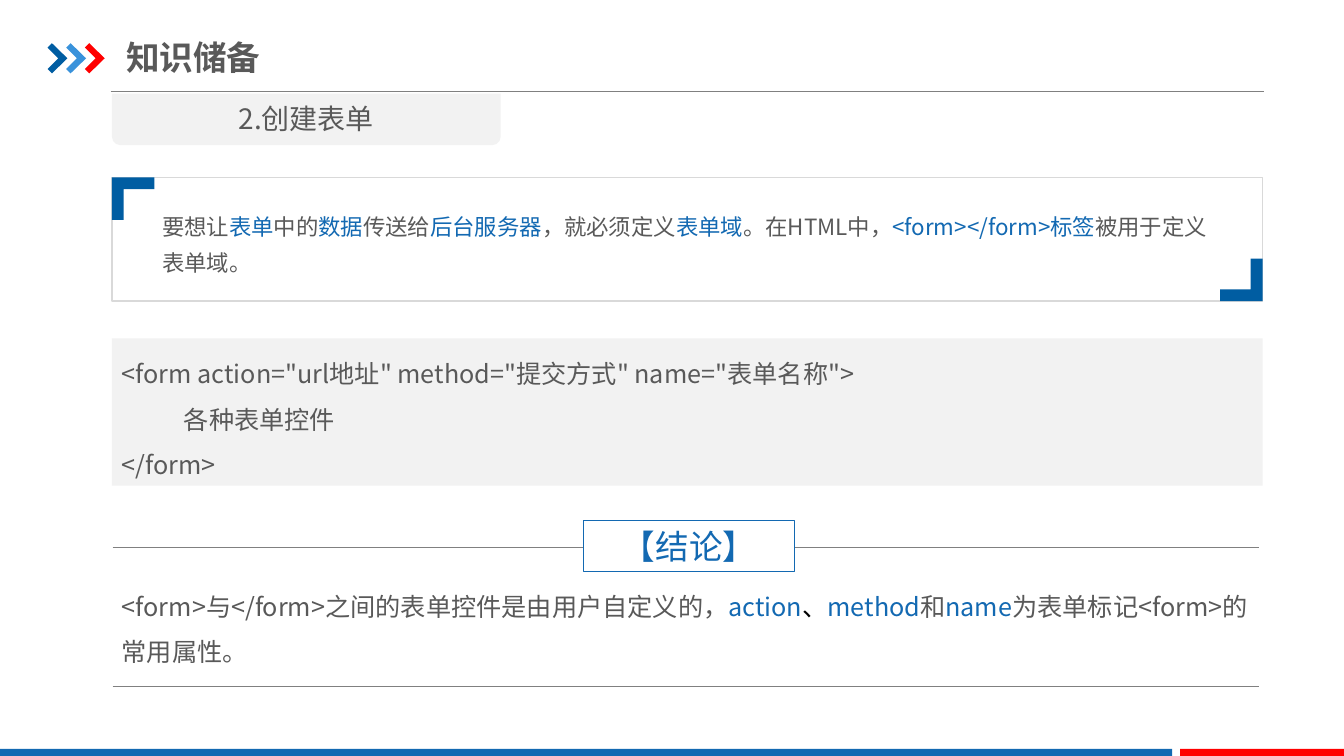
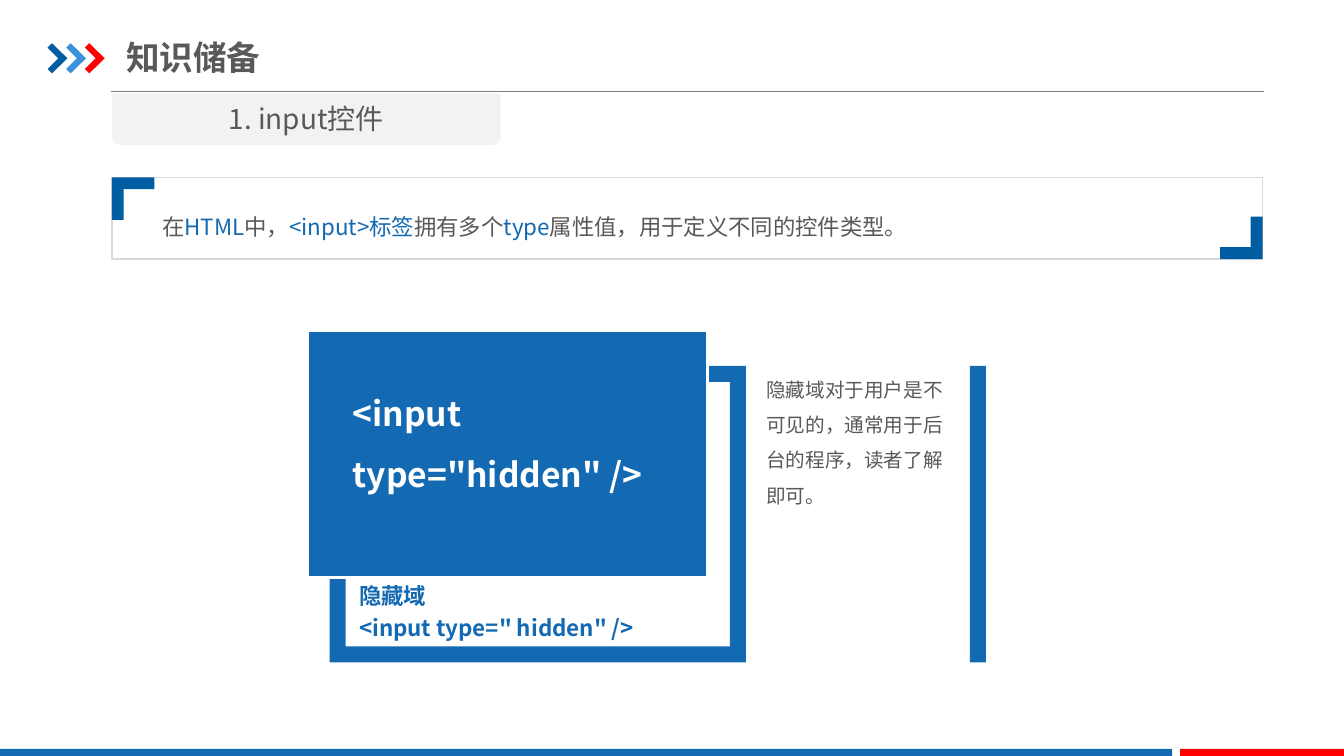
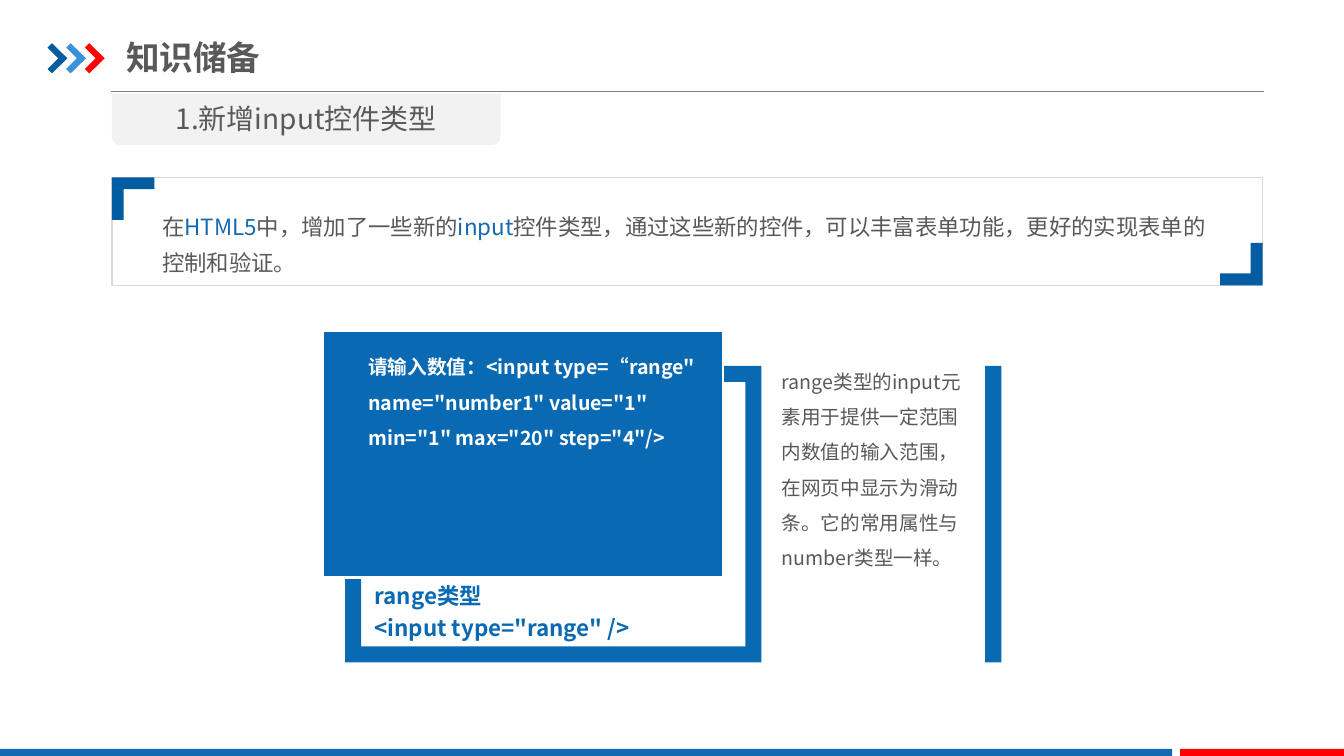
from pptx import Presentation
from pptx.dml.color import RGBColor
from pptx.enum.shapes import MSO_CONNECTOR, MSO_SHAPE
from pptx.enum.text import MSO_ANCHOR, MSO_AUTO_SIZE, PP_ALIGN
from pptx.oxml.ns import qn
from pptx.shapes.shapetree import SlideShapes
from pptx.util import Cm, Pt
from lxml import etree

RECTANGLE = MSO_SHAPE.RECTANGLE
FRAME = MSO_SHAPE.FRAME
TAB = MSO_SHAPE.ROUND_2_SAME_RECTANGLE
STRAIGHT = MSO_CONNECTOR.STRAIGHT
TOP, MIDDLE = MSO_ANCHOR.TOP, MSO_ANCHOR.MIDDLE
LEFT, CENTER = PP_ALIGN.LEFT, PP_ALIGN.CENTER
NO_AUTOFIT = MSO_AUTO_SIZE.NONE

FONT = "Noto Sans CJK SC"
BLUE, CARD_BLUE, DARK_BLUE, LIGHT_BLUE = "1369B2", "0969B2", "005DA2", "3992DB"
RED, BLACK, WHITE = "FF0000", "000000", "FFFFFF"
TEXT_GRAY, LINE_GRAY, BORDER_GRAY, PALE_GRAY = "595959", "808080", "D9D9D9", "F2F2F2"

SLIDE_WIDTH, SLIDE_HEIGHT = 33.87, 19.05
CONTENT_LEFT, CONTENT_WIDTH = 2.82, 29
DEFAULT_INSETS = (0.25, 0.13, 0.25, 0.13)


def paint(color_format, color):
    """Give a fill, line or font colour a hex value."""
    color_format.rgb = RGBColor.from_string(color)


def accent(text, color=BLUE):
    """Return a text part that stands out in colour."""
    return text, color


def write(shape, paragraphs, size, color=TEXT_GRAY, bold=False, align=LEFT, anchor=TOP,
          spacing=1.0, after=0, insets=DEFAULT_INSETS):
    """Fill a shape with paragraphs, each a list of plain or accented parts."""
    frame = shape.text_frame
    frame.word_wrap = True
    frame.auto_size = NO_AUTOFIT
    frame.vertical_anchor = anchor
    (frame.margin_left, frame.margin_top,
     frame.margin_right, frame.margin_bottom) = map(Cm, insets)
    for index, parts in enumerate(paragraphs):
        paragraph = frame.add_paragraph() if index else frame.paragraphs[0]
        paragraph.alignment = align
        paragraph.line_spacing = spacing
        paragraph.space_before = Pt(0)
        paragraph.space_after = Pt(after)
        font = paragraph.font
        font.name, font.size, font.bold = FONT, Pt(size), bold
        paint(font.fill_color if hasattr(font, "fill_color") else font.color, color)
        defaults = paragraph._p.get_or_add_pPr().find(qn("a:defRPr"))
        etree.SubElement(defaults, qn("a:ea")).set("typeface", FONT)
        for part in parts:
            text, part_color = (part, None) if isinstance(part, str) else part
            run = paragraph.add_run()
            run.text = text
            if part_color:
                paint(run.font.color, part_color)


def style(shape, fill=None, line=None, line_width=1):
    """Set the fill and outline of a shape and drop its shadow."""
    shape.shadow.inherit = False
    if fill:
        shape.fill.solid()
        paint(shape.fill.fore_color, fill)
    else:
        shape.fill.background()
    if line:
        paint(shape.line.color, line)
        shape.line.width = Pt(line_width)
    else:
        shape.line.fill.background()


def add_block(shapes, box, fill=None, line=None, line_width=1, kind=RECTANGLE):
    """Add a preset shape at left, top, width, height."""
    block = shapes.add_shape(kind, *map(Cm, box))
    style(block, fill, line, line_width)
    return block


def add_text(shapes, box, paragraphs, size, **options):
    """Add a text box at left, top, width, height."""
    write(shapes.add_textbox(*map(Cm, box)), paragraphs, size, **options)


def add_rule(shapes, left, right, y):
    """Add a thin horizontal line."""
    rule = shapes.add_connector(STRAIGHT, Cm(left), Cm(y), Cm(right), Cm(y))
    paint(rule.line.color, LINE_GRAY)
    rule.line.width = Pt(0.75)
    etree.SubElement(rule._element.spPr, qn("a:effectLst"))


def add_outline(shapes, x, y, offsets, fill, direction=1):
    """Add a closed outline from offsets to a corner point."""
    points = [(Cm(x + direction * dx), Cm(y + direction * dy)) for dx, dy in offsets]
    builder = shapes.build_freeform(*points[0])
    builder.add_line_segments(points[1:], close=True)
    style(builder.convert_to_shape(), fill)


def prepare_layout(presentation):
    """Put the chevrons, header rule and footer bands on the title-only layout."""
    layout = presentation.slide_layouts[5]
    for placeholder in list(layout.placeholders):
        if placeholder.placeholder_format.idx:
            layout.shapes.element.remove(placeholder.element)
    shapes = SlideShapes(layout.shapes.element, layout)
    add_rule(shapes, 2.79, 31.85, 2.31)
    chevron = [(0, 0.11), (0.11, 0), (0.5, 0.38), (0.11, 0.76), (0, 0.65), (0.27, 0.38)]
    for index, color in enumerate((DARK_BLUE, LIGHT_BLUE, RED)):
        add_outline(shapes, 1.2 + index * 0.47, 1.09, chevron, color)
    band_top, red_left = 18.87, 29.74
    band_height = SLIDE_HEIGHT - band_top
    add_block(shapes, (0, band_top, red_left - 0.2, band_height), BLUE)
    add_block(shapes, (red_left, band_top, SLIDE_WIDTH - red_left, band_height), RED)
    return layout


def add_topic_slide(presentation, layout, topic):
    """Add a slide with the section title and a topic tab, and return its shapes."""
    shapes = presentation.slides.add_slide(layout).shapes
    title = shapes.title
    title.left, title.top, title.width, title.height = map(Cm, (3.18, 0.74, 10.82, 1.4))
    write(title, [["知识储备"]], 24, bold=True, anchor=MIDDLE, insets=(0, 0.18, 0, 0.18))
    tab = add_block(shapes, (CONTENT_LEFT, 2.36, 9.8, 1.3), PALE_GRAY, kind=TAB)
    tab.adjustments[0], tab.adjustments[1] = 0, 0.17
    write(tab, [[topic]], 20, align=CENTER, anchor=MIDDLE)
    return shapes


def add_intro(shapes, height, parts):
    """Add the bordered introduction with its two corner brackets."""
    top = 4.47
    border = add_block(shapes, (CONTENT_LEFT, top, CONTENT_WIDTH, height), line=BORDER_GRAY)
    write(border, [parts], 16, spacing=1.35, insets=(1.27, 0.66, 1.39, 0))
    arm, thick = 1.07, 0.3
    bracket = [(0, 0), (arm, 0), (arm, thick), (thick, thick), (thick, arm), (0, arm)]
    add_outline(shapes, CONTENT_LEFT, top, bracket, DARK_BLUE)
    add_outline(shapes, CONTENT_LEFT + CONTENT_WIDTH, top + height, bracket, DARK_BLUE, -1)


def add_conclusion(shapes, parts):
    """Add the labelled conclusion between two rules."""
    left, right = 2.84, 31.98 - 0.25
    add_rule(shapes, left, right, 13.79)
    label = add_block(shapes, (14.71, 13.11, 5.31, 1.29), WHITE, BLUE, 0.75)
    write(label, [["【结论】"]], 24, color=BLUE, align=CENTER, anchor=MIDDLE)
    add_rule(shapes, left, right, 17.3)
    add_text(shapes, (CONTENT_LEFT, 14.38, 28.91, 2.44), [parts], 18, spacing=1.5)


def add_control_card(shapes, left, color, code, code_size, code_inset, caption, note, note_top):
    """Add a code panel over a frame, with a caption below and a note beside it."""
    top, height = 9.22, 7.47
    add_block(shapes, (left + 16.13, top, 0.41, height), color)
    frame = add_block(shapes, (left, top, 10.49, height), color, kind=FRAME)
    frame.adjustments[0] = 0.054
    panel = add_block(shapes, (left - 0.56, 8.33, 10.08, 6.22), color, WHITE, 2)
    write(panel, [[code]], code_size, color=WHITE, bold=True, spacing=1.5,
          insets=(1.14, code_inset, 0.25, 0.13))
    add_text(shapes, (left + 0.33, 14.45, 9.68, 2.01), [[line] for line in caption], 16,
             color=color, bold=True, anchor=MIDDLE, spacing=0.9, after=5.6,
             insets=(0.41, 0.15, 0.41, 0.15))
    add_text(shapes, (left + 11, note_top, 4.8, height), [[note]], 14, spacing=1.5,
             insets=(0, 0, 0, 0))


def build_form_slide(presentation, layout):
    """Explain how a form is created."""
    shapes = add_topic_slide(presentation, layout, "2.创建表单")
    add_intro(shapes, 3.12, [
        "要想让", accent("表单"), "中的", accent("数据"), "传送给", accent("后台服务器"),
        "，就必须定义", accent("表单域"), "。在HTML中，", accent("<form></form>标签"),
        "被用于定义表单域。"])
    syntax = add_block(shapes, (CONTENT_LEFT, 8.53, CONTENT_WIDTH, 3.71), PALE_GRAY)
    write(syntax, [['<form action="url地址" method="提交方式" name="表单名称">'],
                   ["           各种表单控件"],
                   ["</form>"]], 18, spacing=1.5)
    add_conclusion(shapes, [
        "<form>与</form>之间的表单控件是由用户自定义的，", accent("action"),
        accent("、", BLACK), accent("method"), "和", accent("name"),
        "为表单标记<form>的常用属性。"])


def build_hidden_slide(presentation, layout):
    """Explain the hidden input control."""
    shapes = add_topic_slide(presentation, layout, "1. input控件")
    add_control_card(
        shapes, 8.31, BLUE, '<input type="hidden" />', 24, 1.07,
        ["隐藏域", '<input type=" hidden" />'],
        "隐藏域对于用户是不可见的，通常用于后台的程序，读者了解即可。", 9.22)
    add_intro(shapes, 2.06, [
        "在", accent("HTML"), "中，", accent("<input>标签"), "拥有多个", accent("type"),
        "属性值，用于定义不同的控件类型。"])


def build_range_slide(presentation, layout):
    """Explain the range input control."""
    shapes = add_topic_slide(presentation, layout, "1.新增input控件类型")
    add_intro(shapes, 2.72, [
        "在", accent("HTML5"), "中，增加了一些新的", accent("input"),
        "控件类型，通过这些新的控件，可以丰富表单功能，更好的实现表单的控制和验证。"])
    add_control_card(
        shapes, 8.7, CARD_BLUE,
        '请输入数值：<input type=“range" name="number1" value="1" min="1" max="20" step="4"/>',
        14, 0.33, ["range类型", '<input type="range" />'],
        "range类型的input元素用于提供一定范围内数值的输入范围，在网页中显示为滑动条。"
        "它的常用属性与number类型一样。", 9.02)


def main():
    """Build and save the presentation."""
    presentation = Presentation()
    presentation.slide_width, presentation.slide_height = Cm(SLIDE_WIDTH), Cm(SLIDE_HEIGHT)
    layout = prepare_layout(presentation)
    for build in (build_form_slide, build_hidden_slide, build_range_slide):
        build(presentation, layout)
    presentation.save("out.pptx")


if __name__ == "__main__":
    main()
